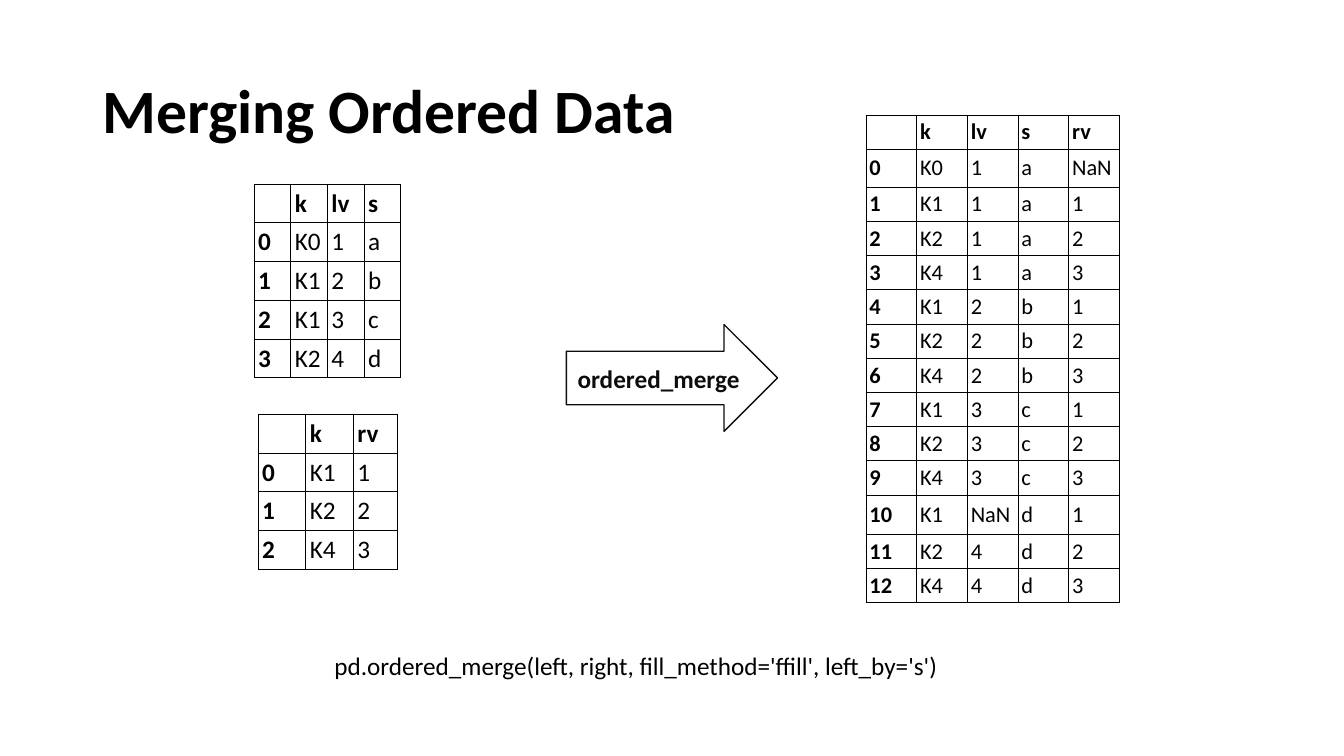
from lxml import etree
from pptx import Presentation
from pptx.dml.color import RGBColor
from pptx.enum.shapes import MSO_SHAPE
from pptx.enum.text import MSO_ANCHOR, MSO_AUTO_SIZE, PP_ALIGN
from pptx.oxml.ns import qn
from pptx.util import Pt

RIGHT_ARROW = MSO_SHAPE.RIGHT_ARROW
MIDDLE = MSO_ANCHOR.MIDDLE
TOP = MSO_ANCHOR.TOP
CENTER = PP_ALIGN.CENTER
FIT_SHAPE = MSO_AUTO_SIZE.SHAPE_TO_FIT_TEXT

COLORS = {"text": "000000", "border": "000000", "arrow": "0D0D0D", "paper": "FFFFFF"}
FONT = "Calibri"

LEFT_ROWS = [
    ["", "k", "lv", "s"],
    ["0", "K0", "1", "a"],
    ["1", "K1", "2", "b"],
    ["2", "K1", "3", "c"],
    ["3", "K2", "4", "d"],
]
RIGHT_ROWS = [
    ["", "k", "rv"],
    ["0", "K1", "1"],
    ["1", "K2", "2"],
    ["2", "K4", "3"],
]
MERGED_ROWS = [
    ["", "k", "lv", "s", "rv"],
    ["0", "K0", "1", "a", "NaN"],
    ["1", "K1", "1", "a", "1"],
    ["2", "K2", "1", "a", "2"],
    ["3", "K4", "1", "a", "3"],
    ["4", "K1", "2", "b", "1"],
    ["5", "K2", "2", "b", "2"],
    ["6", "K4", "2", "b", "3"],
    ["7", "K1", "3", "c", "1"],
    ["8", "K2", "3", "c", "2"],
    ["9", "K4", "3", "c", "3"],
    ["10", "K1", "NaN", "d", "1"],
    ["11", "K2", "4", "d", "2"],
    ["12", "K4", "4", "d", "3"],
]


def write_text(frame, text, size=18, bold=False, color="text", align=None, spacing=None):
    """Write one formatted paragraph into a text frame."""
    paragraph = frame.paragraphs[0]
    paragraph.alignment = align
    paragraph.line_spacing = spacing
    if not text:
        # An empty cell still needs its text size, which sets the row height
        paragraph._p.get_or_add_endParaRPr().set("sz", str(size * 100))
        return
    run = paragraph.add_run()
    run.text = text
    run.font.name = FONT
    run.font.size = Pt(size)
    run.font.bold = bold
    run.font.color.rgb = RGBColor.from_string(COLORS[color])


class SlideBuilder:
    def __init__(self, presentation):
        self.slide = presentation.slides.add_slide(presentation.slide_layouts[6])

    def text(self, box, text, anchor=TOP, wrap=True, **text_format):
        shape = self.slide.shapes.add_textbox(*map(Pt, box))
        frame = shape.text_frame
        frame.word_wrap = wrap
        frame.vertical_anchor = anchor
        if not wrap:
            frame.auto_size = FIT_SHAPE
        write_text(frame, text, **text_format)

    def arrow(self, box, text):
        shape = self.slide.shapes.add_shape(RIGHT_ARROW, *map(Pt, box))
        shape.shadow.inherit = False
        shape.fill.solid()
        shape.fill.fore_color.rgb = RGBColor.from_string(COLORS["paper"])
        shape.line.color.rgb = RGBColor.from_string(COLORS["arrow"])
        shape.line.width = Pt(1)
        shape.text_frame.vertical_anchor = MIDDLE
        write_text(shape.text_frame, text, bold=True, color="arrow", align=CENTER)

    def table(self, left, top, rows, widths, heights, size, inset, filled=True):
        frame = self.slide.shapes.add_table(
            len(rows), len(widths), Pt(left), Pt(top), Pt(sum(widths)), Pt(sum(heights))
        )
        table = frame.table
        table.first_row = False
        table.horz_banding = False
        for column, width in zip(table.columns, widths):
            column.width = Pt(width)
        for row, height in zip(table.rows, heights):
            row.height = Pt(height)
        for row_index, values in enumerate(rows):
            for column_index, value in enumerate(values):
                cell = table.cell(row_index, column_index)
                is_label = row_index == 0 or column_index == 0
                self.style_cell(cell, inset, filled)
                write_text(cell.text_frame, value, size=size, bold=is_label)

    def style_cell(self, cell, inset, filled):
        cell.vertical_anchor = MIDDLE
        cell.margin_left = cell.margin_right = Pt(inset)
        cell.margin_top = cell.margin_bottom = Pt(inset)
        # Borders come before the fill in the cell properties
        properties = cell._tc.get_or_add_tcPr()
        for side in ("a:lnL", "a:lnR", "a:lnT", "a:lnB"):
            line = etree.SubElement(properties, qn(side), w=str(Pt(0.75)))
            solid = etree.SubElement(line, qn("a:solidFill"))
            etree.SubElement(solid, qn("a:srgbClr"), val=COLORS["border"])
        if filled:
            cell.fill.solid()
            cell.fill.fore_color.rgb = RGBColor.from_string(COLORS["paper"])
        else:
            cell.fill.background()


def main():
    presentation = Presentation()
    presentation.slide_width = Pt(960)
    presentation.slide_height = Pt(540)
    builder = SlideBuilder(presentation)

    # Title
    builder.text((66, 28.8, 828, 104.4), "Merging Ordered Data",
                 anchor=MIDDLE, size=44, bold=True, spacing=0.9)

    # Merge step and its call
    builder.arrow((404.6, 231.8, 150.8, 76.4), "ordered_merge")
    builder.text((231.8, 460.8, 452.2, 29), wrap=False,
                 text="pd.ordered_merge(left, right, fill_method='ffill', left_by='s')")

    # Merged result: the rows holding NaN are a little taller
    merged_heights = [24.45] * len(MERGED_ROWS)
    merged_heights[1] = 27
    merged_heights[11] = 28.2
    builder.table(618.6, 82.3, MERGED_ROWS, [36.2] * 5, merged_heights, size=16, inset=2.45)

    # Left and right inputs
    builder.table(181.6, 131.6, LEFT_ROWS, [26.2] * 4, [27.65] * len(LEFT_ROWS),
                  size=18, inset=2.8)
    builder.table(184.5, 296, RIGHT_ROWS, [34, 34, 31.2], [27.65] * len(RIGHT_ROWS),
                  size=18, inset=2.8, filled=False)

    presentation.save("out.pptx")


if __name__ == "__main__":
    main()
